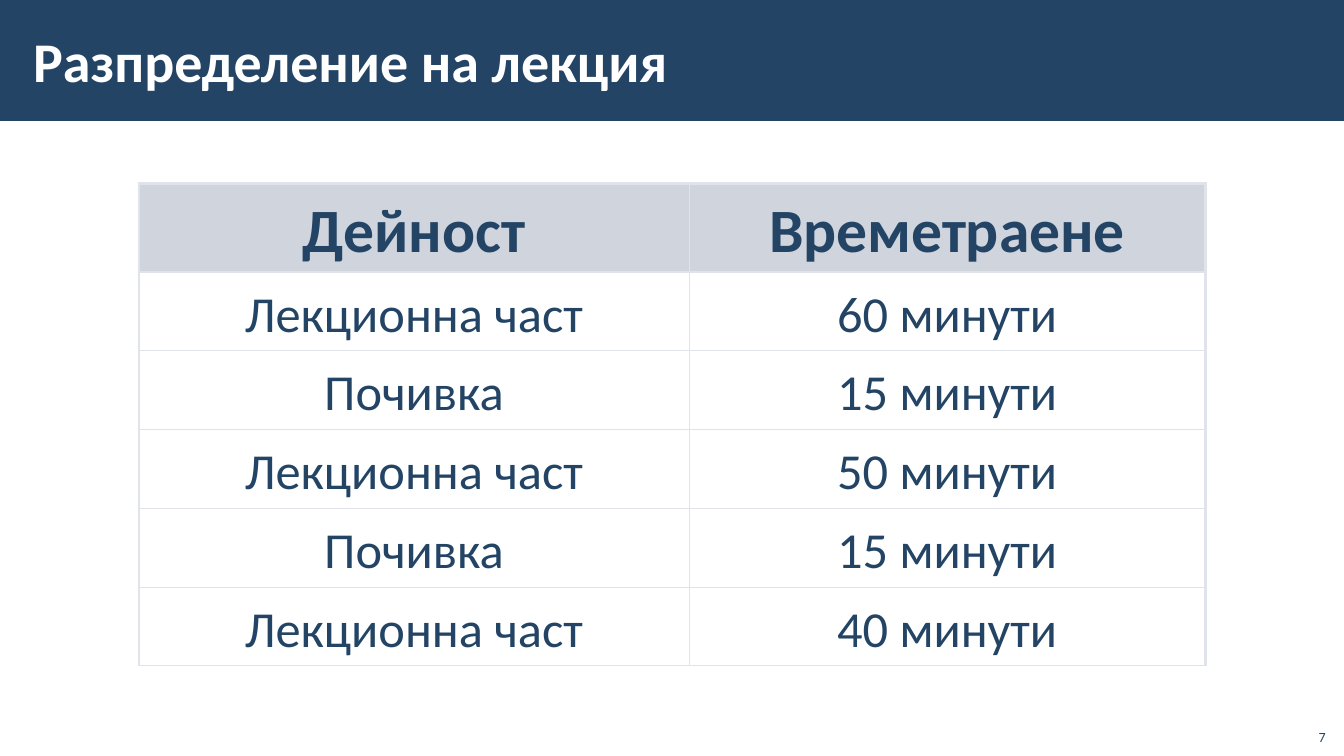
"""Build the lecture schedule slide: a title bar and a table of durations."""
from lxml.etree import SubElement
from pptx import Presentation
from pptx.dml.color import RGBColor
from pptx.enum.shapes import MSO_SHAPE
from pptx.enum.text import MSO_ANCHOR, MSO_AUTO_SIZE, PP_ALIGN
from pptx.oxml import parse_xml
from pptx.oxml.ns import nsdecls, qn
from pptx.util import Pt

NAVY, GREY, BORDER, WHITE = "234465", "A3ABBC", "E0E3E9", "FFFFFF"
SCHEDULE = [
    ("Дейност", "Времетраене"),
    ("Лекционна част", "60 минути"),
    ("Почивка", "15 минути"),
    ("Лекционна част", "50 минути"),
    ("Почивка", "15 минути"),
    ("Лекционна част", "40 минути"),
]


def color(hex_string):
    return RGBColor.from_string(hex_string)


def write(text_frame, text, size, hex_string, bold, alignment):
    text_frame.text = text
    paragraph = text_frame.paragraphs[0]
    paragraph.alignment = alignment
    font = paragraph.runs[0].font
    font.name, font.size, font.bold = "Calibri", Pt(size), bold
    font.color.rgb = color(hex_string)


presentation = Presentation()
presentation.slide_width, presentation.slide_height = Pt(960), Pt(540)
slide = presentation.slides.add_slide(presentation.slide_layouts[5])

bar = slide.shapes.add_shape(MSO_SHAPE.RECTANGLE, 0, 0, Pt(960), Pt(86.4))
bar.shadow.inherit = False
bar.fill.solid()
bar.fill.fore_color.rgb = color(NAVY)
bar.line.fill.background()

title = slide.shapes.title
bar._element.addnext(title._element)
title.left, title.top, title.width, title.height = Pt(15.1), Pt(7.9), Pt(765.4), Pt(69.8)
title_frame = title.text_frame
title_frame.auto_size = MSO_AUTO_SIZE.NONE
title_frame.vertical_anchor = MSO_ANCHOR.MIDDLE
title_frame.margin_left = title_frame.margin_right = Pt(8.6)
title_frame.margin_top = title_frame.margin_bottom = Pt(2.9)
write(title_frame, "Разпределение на лекция", 40, WHITE, True, PP_ALIGN.LEFT)

frame = slide.shapes.add_table(len(SCHEDULE), 2, Pt(99.2), Pt(131), Pt(761.8), Pt(344))
table = frame.table
table.first_row = table.horz_banding = False
table.columns[0].width, table.columns[1].width = Pt(393.1), Pt(368.7)

for row_index, row in enumerate(SCHEDULE):
    header = row_index == 0
    table.rows[row_index].height = Pt(63 if header else 56.2)
    for column_index, text in enumerate(row):
        cell = table.cell(row_index, column_index)
        cell.margin_left = cell.margin_right = Pt(11.5 if header else 7.2)
        cell.margin_top, cell.margin_bottom = Pt(8.6), Pt(3.6)
        cell.vertical_anchor = MSO_ANCHOR.MIDDLE if header else MSO_ANCHOR.TOP
        write(cell.text_frame, text, 44 if header else 36, NAVY, header, PP_ALIGN.CENTER)
        if header:
            cell.text_frame.paragraphs[0].line_spacing = 0.95
            cell.fill.solid()
            cell.fill.fore_color.rgb = color(GREY)
            fill_color = cell._tc.tcPr.find(qn("a:solidFill"))[0]
            SubElement(fill_color, qn("a:alpha"), val="50000")
        else:
            cell.fill.background()
        thick_sides = {
            "L": column_index == 0,
            "R": column_index == 1,
            "T": row_index <= 1,
            "B": header,
        }
        for position, (side, thick) in enumerate(thick_sides.items()):
            width = Pt(2.25 if thick else 1)
            border = parse_xml(
                f'<a:ln{side} {nsdecls("a")} w="{width}"><a:solidFill>'
                f'<a:srgbClr val="{BORDER}"/></a:solidFill></a:ln{side}>'
            )
            cell._tc.tcPr.insert(position, border)

slide_number = slide.shapes.add_textbox(Pt(925.2), Pt(512.6), Pt(28.8), Pt(23))
slide_number.text_frame.word_wrap = True
slide_number.text_frame.vertical_anchor = MSO_ANCHOR.BOTTOM
write(slide_number.text_frame, "7", 10, NAVY, False, PP_ALIGN.RIGHT)

presentation.save("out.pptx")
